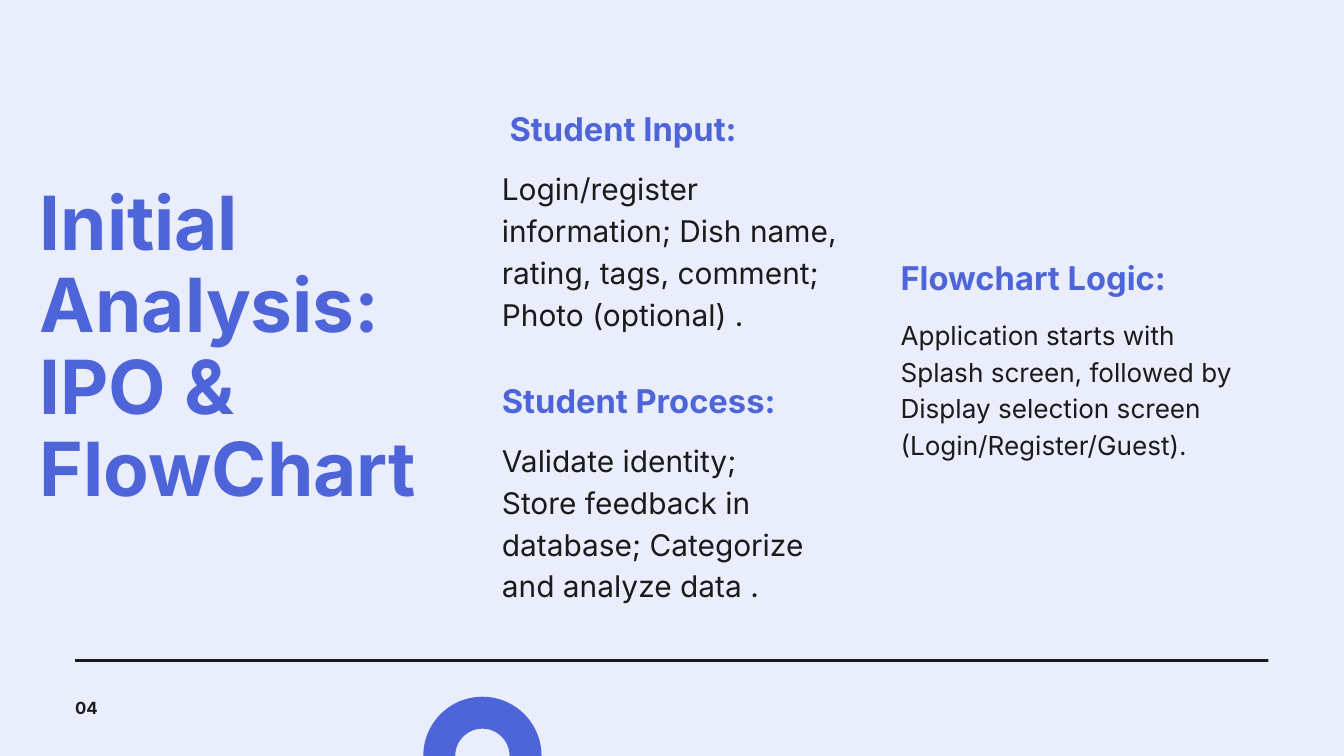
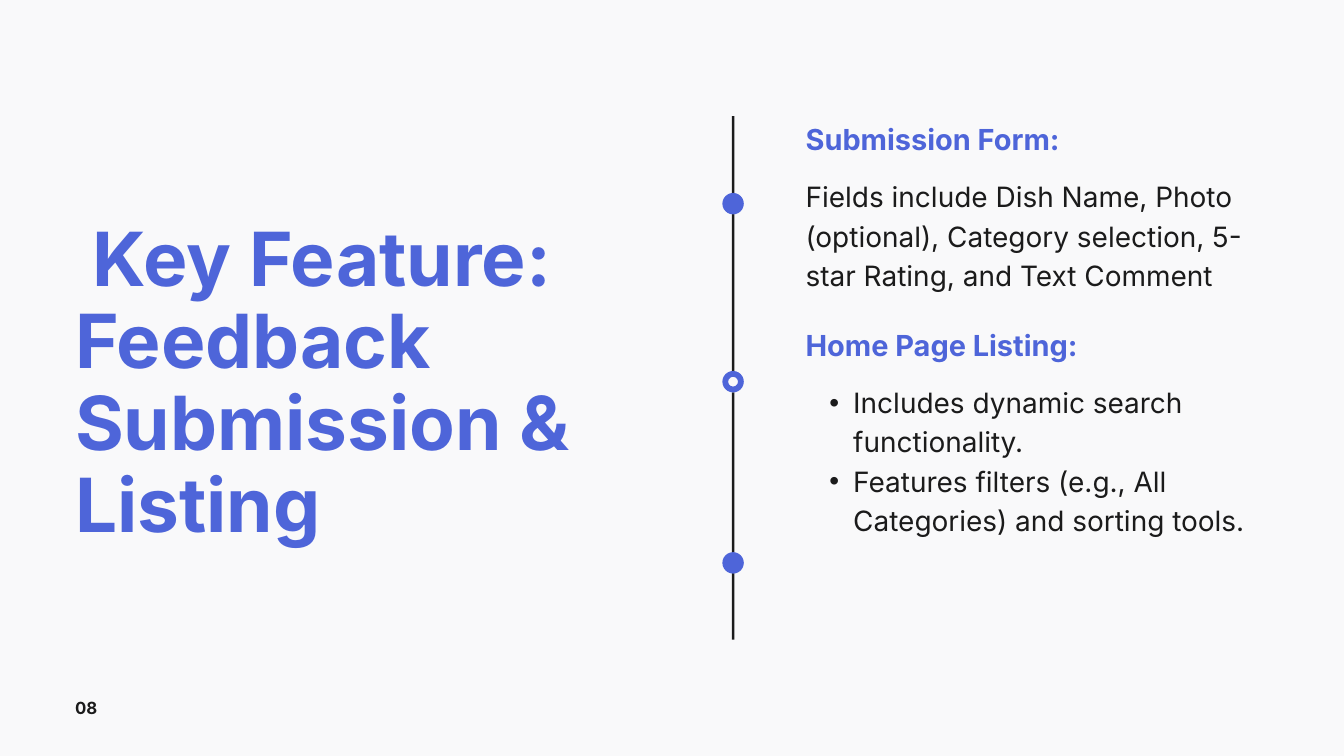
from dataclasses import dataclass

import pptx
import pptx.dml.color
import pptx.enum.shapes
import pptx.enum.text
import pptx.oxml
import pptx.oxml.ns
import pptx.shapes.autoshape
import pptx.shapes.base
import pptx.slide
import pptx.util

Cm = pptx.util.Cm
Pt = pptx.util.Pt
Kind = pptx.enum.shapes.MSO_SHAPE
Slide = pptx.slide.Slide
Shape = pptx.shapes.base.BaseShape


@dataclass(frozen=True)
class Type:
    size: float
    lead: float
    color: str
    bold: bool = False


@dataclass(frozen=True)
class Theme:
    font: str = "Inter"
    blue: str = "4E65D9"
    ink: str = "1B1B1B"
    mist: str = "EAEDFB"
    pale: str = "F9F9FA"
    title: Type = Type(80, 88, blue, True)
    head: Type = Type(35, 49, blue, True)
    body: Type = Type(32, 44.8, ink)
    note: Type = Type(28, 39.2, ink)
    subhead: Type = Type(31, 43.4, blue, True)
    item: Type = Type(30, 42, ink)
    folio: Type = Type(18, 25.2, ink, True)


THEME = Theme()


@dataclass(frozen=True)
class Box:
    """A place on the slide, in centimetres."""
    left: float
    top: float
    width: float
    height: float


@dataclass(frozen=True)
class Block:
    """A heading with its text a fixed drop below."""
    box: Box
    drop: float
    head: str
    lines: tuple[str, ...]
    top: Type
    text: Type
    listed: bool = False


MARGIN = 2.84
RULE = 0.1
AXIS = 27.71
DOT = 0.81

FLOW = (
    Block(Box(18.97, 3.86, 12.85, 10.85), 2.38, " Student Input:",
          ("Login/register information; Dish name, rating, tags, comment; "
           "Photo (optional) .",), THEME.head, THEME.body),
    Block(Box(18.97, 14.15, 11.99, 6.15), 2.36, "Student Process:",
          ("Validate identity; Store feedback in database; "
           "Categorize and analyze data .",), THEME.head, THEME.body),
    Block(Box(34.04, 9.52, 12.85, 5.44), 2.36, "Flowchart Logic:",
          ("Application starts with Splash screen, followed by Display "
           "selection screen (Login/Register/Guest).",),
          THEME.head, THEME.note),
)
FEATURES = (
    Block(Box(30.45, 4.39, 16.97, 4.27), 2.2, "Submission Form:",
          ("Fields include Dish Name, Photo (optional), Category selection, "
           "5-star Rating, and Text Comment",), THEME.subhead, THEME.item),
    Block(Box(30.45, 12.17, 16.97, 7.34), 2.2, "Home Page Listing:",
          ("Includes dynamic search functionality.",
           "Features filters (e.g., All Categories) and sorting tools."),
          THEME.subhead, THEME.item, listed=True),
)


def rgb(code: str) -> pptx.dml.color.RGBColor:
    return pptx.dml.color.RGBColor.from_string(code)


def place(shape: Shape, box: Box) -> None:
    shape.left, shape.top = Cm(box.left), Cm(box.top)
    shape.width, shape.height = Cm(box.width), Cm(box.height)


def write(slide: Slide, box: Box, *lines: str, style: Type,
          holder: Shape | None = None, listed: bool = False) -> None:
    """Write lines in a placeholder, or in a new text box if none is given."""
    shape = holder or slide.shapes.add_textbox(0, 0, 0, 0)
    place(shape, box)
    frame = shape.text_frame
    frame.margin_left = frame.margin_right = 0
    frame.margin_top = frame.margin_bottom = 0
    frame.word_wrap = True
    frame.auto_size = pptx.enum.text.MSO_AUTO_SIZE.SHAPE_TO_FIT_TEXT
    frame.vertical_anchor = pptx.enum.text.MSO_ANCHOR.TOP
    for i, line in enumerate(lines):
        para = frame.add_paragraph() if i else frame.paragraphs[0]
        para.alignment = pptx.enum.text.PP_ALIGN.LEFT
        para.line_spacing = Pt(style.lead)
        para.space_before = para.space_after = Pt(0)
        run = para.add_run()
        run.text = line
        font = run.font
        font.name, font.size, font.bold = THEME.font, Pt(style.size), style.bold
        font.color.rgb = rgb(style.color)
        if listed:
            props = para._p.get_or_add_pPr()
            props.set("marL", str(Cm(1.8)))
            props.set("indent", str(Cm(-0.9)))
            mark = pptx.oxml.parse_xml(
                f'<a:buChar {pptx.oxml.ns.nsdecls("a")} char="•"/>')
            props.append(mark)


def draw(slide: Slide, kind: Kind, box: Box,
         color: str) -> pptx.shapes.autoshape.Shape:
    shape = slide.shapes.add_shape(kind, 0, 0, 0, 0)
    place(shape, box)
    shape.shadow.inherit = False
    shape.fill.solid()
    shape.fill.fore_color.rgb = rgb(color)
    shape.line.fill.background()
    return shape


def ring(slide: Slide, box: Box, band: float) -> None:
    """Draw a ring whose band is the given share of its width."""
    draw(slide, Kind.DONUT, box, THEME.blue).adjustments[0] = band


def dot(slide: Slide, middle: float, hollow: bool = False) -> None:
    """Draw a stop on the timeline, centred on its axis."""
    box = Box(AXIS - DOT / 2, middle - DOT / 2, DOT, DOT)
    draw(slide, Kind.OVAL, box, THEME.pale if hollow else THEME.blue)
    if hollow:
        ring(slide, box, 0.27)


def show(slide: Slide, block: Block) -> None:
    box = block.box
    write(slide, Box(box.left, box.top, box.width, 1.6), block.head,
          style=block.top)
    write(slide, Box(box.left, box.top + block.drop, box.width, box.height),
          *block.lines, style=block.text, listed=block.listed,
          holder=slide.placeholders[1] if block.listed else None)


def start(deck: pptx.presentation.Presentation, layout: int, back: str,
          title: str, box: Box, folio: str, blocks: tuple[Block, ...]) -> Slide:
    """Add a slide with its background, title, number and text blocks."""
    slide = deck.slides.add_slide(deck.slide_layouts[layout])
    slide.background.fill.solid()
    slide.background.fill.fore_color.rgb = rgb(back)
    write(slide, box, title, style=THEME.title, holder=slide.shapes.title)
    write(slide, Box(MARGIN, 26.26, 6.27, 0.86), folio, style=THEME.folio)
    for block in blocks:
        show(slide, block)
    return slide


def main() -> None:
    deck = pptx.Presentation()
    deck.slide_width, deck.slide_height = Cm(50.8), Cm(28.58)

    flow = start(deck, 5, THEME.mist, "Initial Analysis: IPO & FlowChart",
                 Box(1.5, 6.93, 15.27, 12.42), "04", FLOW)
    draw(flow, Kind.RECTANGLE, Box(MARGIN, 24.92, 45.1, RULE), THEME.ink)
    ring(flow, Box(16, 26.34, 4.47, 4.47), 0.27)

    feature = start(deck, 1, THEME.pale,
                    " Key Feature: Feedback Submission & Listing",
                    Box(MARGIN, 8.28, 19.38, 12.42), "08", FEATURES)
    draw(feature, Kind.RECTANGLE, Box(AXIS - RULE / 2, 4.39, RULE, 19.79),
         THEME.ink)
    dot(feature, 7.7)
    dot(feature, 14.43, hollow=True)
    dot(feature, 21.28)

    deck.save("out.pptx")


if __name__ == "__main__":
    main()
